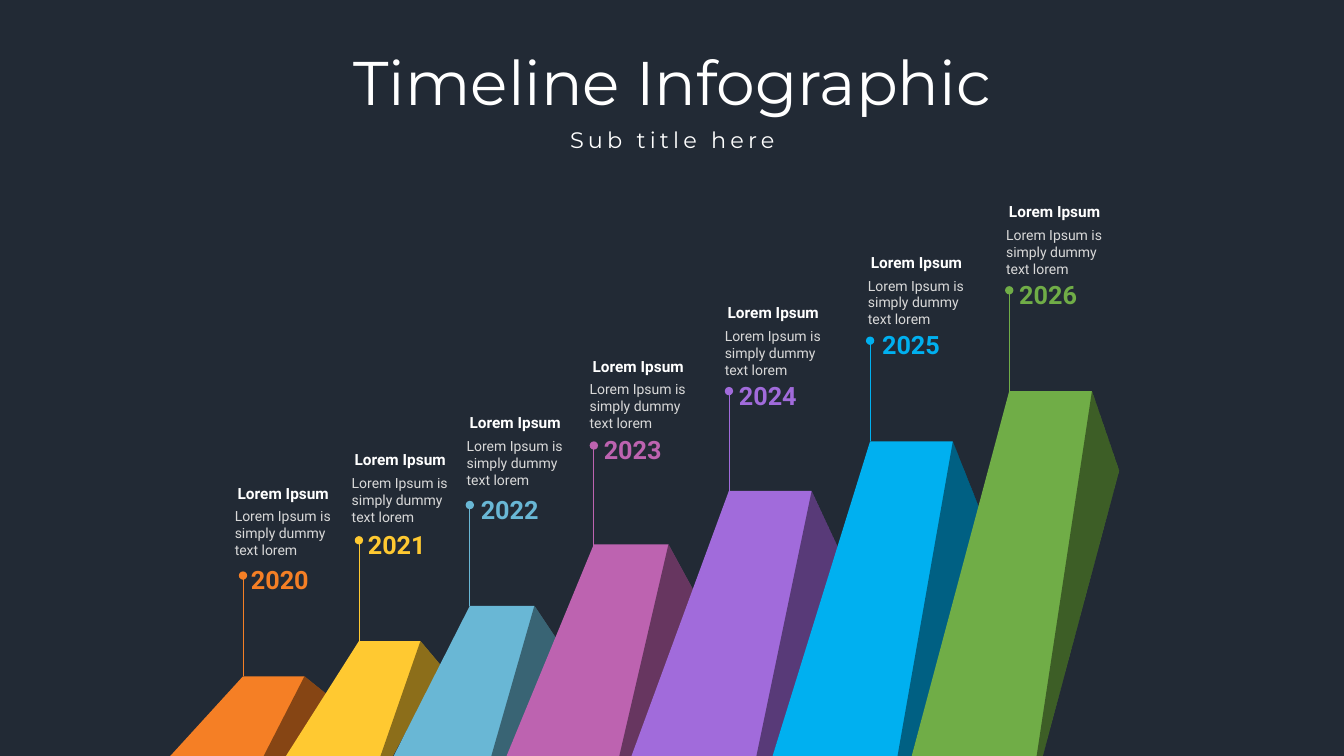
from lxml import etree
from pptx import Presentation
from pptx.dml.color import RGBColor
from pptx.enum.shapes import MSO_CONNECTOR, MSO_SHAPE
from pptx.enum.text import MSO_ANCHOR, MSO_AUTO_SIZE, PP_ALIGN
from pptx.oxml.ns import qn
from pptx.util import Inches, Pt

NIGHT = RGBColor(0x22, 0x2A, 0x35)
WHITE = RGBColor(0xFF, 0xFF, 0xFF)
LIGHT_GREY = RGBColor(0xD9, 0xD9, 0xD9)
BLACK = RGBColor(0, 0, 0)
ORANGE = RGBColor(0xF5, 0x7F, 0x25)
YELLOW = RGBColor(0xFF, 0xC9, 0x31)
SKY = RGBColor(0x69, 0xB7, 0xD5)
PINK = RGBColor(0xBD, 0x63, 0xB0)
PURPLE = RGBColor(0xA1, 0x6B, 0xDB)
BLUE = RGBColor(0x00, 0xB0, 0xF0)
GREEN = RGBColor(0x70, 0xAD, 0x47)

BASE = 7.51
PIN_LENGTH = 1
# year, colour, base x (left, edge, right), roof x (left, right), roof y,
# far corner, pin top, caption corner, year x
MILESTONES = [
    ("2020", ORANGE, (1.68, 2.61, 2.84), (2.41, 3.02), 6.71, (3.23, 6.88), 5.71, (2.25, 4.75), 2.39),
    ("2021", YELLOW, (2.83, 3.77, 3.89), (3.56, 4.17), 6.36, (4.38, 6.61), 5.36, (3.41, 4.42), 3.55),
    ("2022", SKY, (3.9, 4.87, 5.02), (4.66, 5.3), 6.01, (5.52, 6.34), 5.01, (4.55, 4.05), 4.67),
    ("2023", PINK, (5.02, 6.14, 6.26), (5.89, 6.63), 5.4, (6.88, 5.86), 4.42, (5.77, 3.49), 5.89),
    ("2024", PURPLE, (6.26, 7.5, 7.66), (7.23, 8.05), 4.87, (8.32, 5.45), 3.88, (7.11, 2.96), 7.23),
    ("2025", BLUE, (7.66, 8.9, 9.04), (8.63, 9.45), 4.38, (9.72, 5.06), 3.38, (8.53, 2.46), 8.65),
    ("2026", GREEN, (9.04, 10.28, 10.34), (10.01, 10.83), 3.88, (11.1, 4.67), 2.88, (9.9, 1.96), 10.01),
]

prs = Presentation()
prs.slide_width, prs.slide_height = Inches(13.33), Inches(7.5)
slide = prs.slides.add_slide(prs.slide_layouts[0])

backdrop = slide.shapes.add_shape(MSO_SHAPE.RECTANGLE, 0, 0, prs.slide_width, prs.slide_height)
backdrop.shadow.inherit = False
backdrop.fill.solid()
backdrop.fill.fore_color.rgb = NIGHT
backdrop.line.fill.background()
slide.shapes._spTree.insert(2, backdrop._element)  # behind the title


def add_polygon(corners, colour):
    points = [(Inches(x), Inches(y)) for x, y in corners]
    builder = slide.shapes.build_freeform(*points[0])
    builder.add_line_segments(points[1:], close=True)
    polygon = builder.convert_to_shape()
    polygon.shadow.inherit = False
    polygon.fill.solid()
    polygon.fill.fore_color.rgb = colour
    polygon.line.fill.background()
    return polygon


def add_label(text, box, size, colour, bold=False, wrap=False, align=PP_ALIGN.LEFT):
    frame = slide.shapes.add_textbox(*map(Inches, box)).text_frame
    frame.word_wrap = wrap
    frame.text = text
    paragraph = frame.paragraphs[0]
    paragraph.alignment = align
    font = paragraph.runs[0].font
    font.name, font.size, font.bold = "Roboto", Pt(size), bold
    font.color.rgb = colour


headings = [
    (slide.shapes.title, "Timeline Infographic", (0.69, 0.46, 11.96, 0.77), 44, 0),
    (slide.placeholders[1], "Sub title here", (3.18, 1.23, 6.98, 0.35), 16, 3),
]
for heading, words, box, size, tracking in headings:
    heading.left, heading.top, heading.width, heading.height = map(Inches, box)
    frame = heading.text_frame
    frame.text = words
    frame.auto_size = MSO_AUTO_SIZE.NONE
    frame.vertical_anchor = MSO_ANCHOR.MIDDLE
    paragraph = frame.paragraphs[0]
    paragraph.alignment = PP_ALIGN.CENTER
    paragraph.line_spacing = 0.9
    paragraph.space_before = Pt(0)
    run = paragraph.runs[0]
    run.font.name, run.font.size = "Montserrat", Pt(size)
    run.font.color.rgb = WHITE
    run.font._element.set("spc", str(tracking * 100))

for year, colour, base, roof, roof_y, far, pin_top, caption, year_x in MILESTONES:
    base_left, base_edge, base_right = base
    roof_left, roof_right = roof
    side = [(base_right, BASE), far, (roof_right, roof_y)]
    add_polygon(side + [(roof_left, roof_y), (base_left, BASE)], colour)
    shade = add_polygon(side + [(base_edge, BASE)], BLACK)
    shade_colour = shade.fill._xPr.find(".//" + qn("a:srgbClr"))
    etree.SubElement(shade_colour, qn("a:alpha"), val="45000")

    pin = slide.shapes.add_connector(
        MSO_CONNECTOR.STRAIGHT, Inches(roof_left), Inches(pin_top),
        Inches(roof_left), Inches(pin_top + PIN_LENGTH))
    pin.line.color.rgb = colour
    pin.line.width = Pt(0.5)
    etree.SubElement(pin.line._get_or_add_ln(), qn("a:headEnd"), type="oval")
    etree.SubElement(pin._element.spPr, qn("a:effectLst"))

    x, y = caption
    add_label("Lorem Ipsum", (x, y, 1.12, 0.29), 11, WHITE, bold=True, align=PP_ALIGN.CENTER)
    add_label("Lorem Ipsum is simply dummy text lorem", (x - 0.02, y + 0.24, 1.22, 0.61),
              10, LIGHT_GREY, wrap=True)
    add_label(year, (year_x, pin_top - 0.16, 0.78, 0.4), 18, colour, bold=True)

prs.save("out.pptx")
